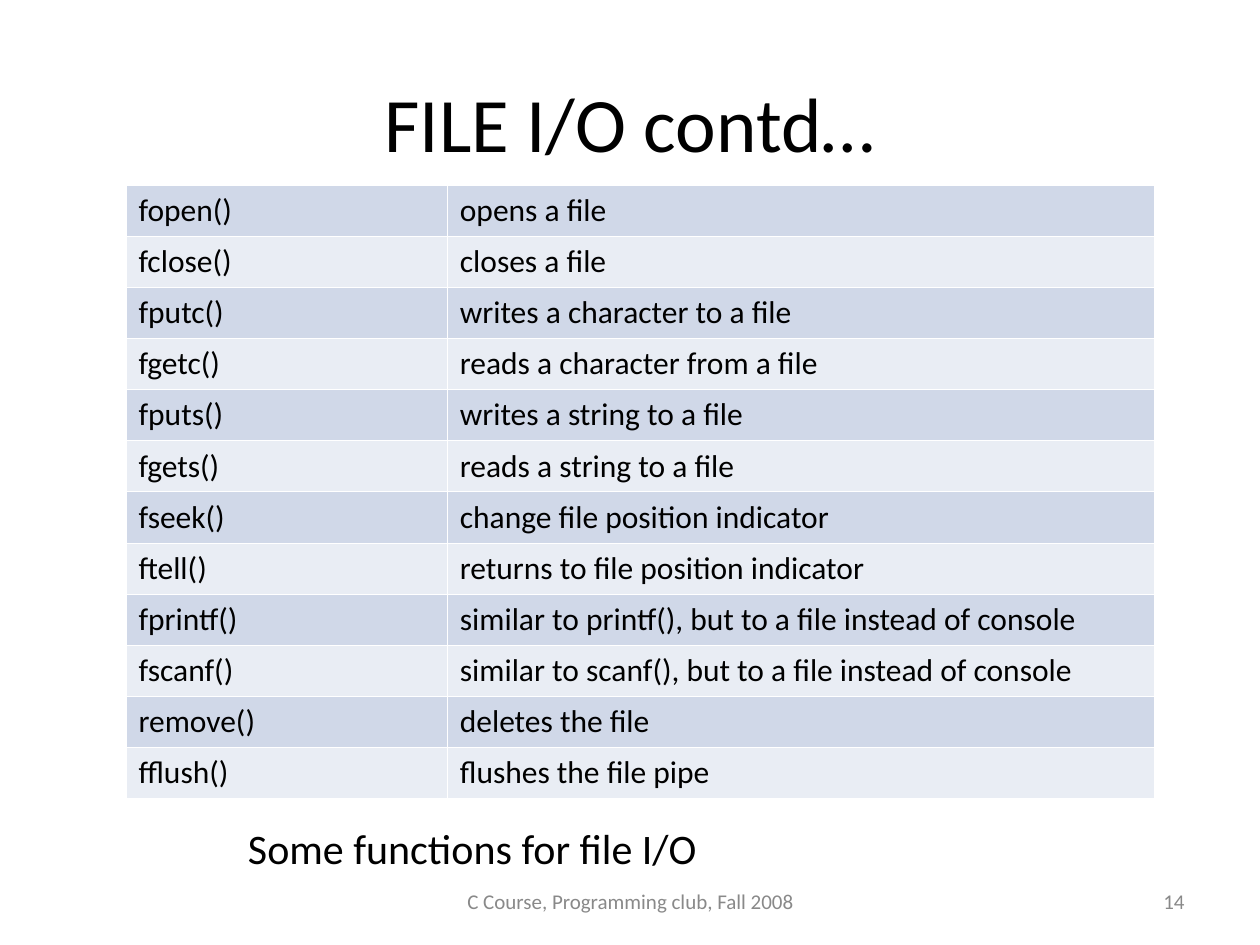
"""Build a slide listing the C functions for file input and output."""
from lxml import etree
from pptx import Presentation
from pptx.dml.color import RGBColor
from pptx.enum.text import MSO_ANCHOR, PP_ALIGN
from pptx.oxml.ns import qn
from pptx.util import Inches, Pt

LEFT, CENTER, RIGHT = PP_ALIGN.LEFT, PP_ALIGN.CENTER, PP_ALIGN.RIGHT
MIDDLE = MSO_ANCHOR.MIDDLE
BLACK = RGBColor(0x00, 0x00, 0x00)
GRAY = RGBColor(0x89, 0x89, 0x89)
WHITE = RGBColor(0xFF, 0xFF, 0xFF)
BANDS = (RGBColor(0xD0, 0xD8, 0xE8), RGBColor(0xE9, 0xED, 0xF4))
FONT = "Calibri"

FUNCTIONS = [
    ("fopen()", "opens a file"),
    ("fclose()", "closes a file"),
    ("fputc()", "writes a character to a file"),
    ("fgetc()", "reads a character from a file"),
    ("fputs()", "writes a string to a file"),
    ("fgets()", "reads a string to a file"),
    ("fseek()", "change file position indicator"),
    ("ftell()", "returns to file position indicator"),
    ("fprintf()", "similar to printf(), but to a file instead of console"),
    ("fscanf()", "similar to scanf(), but to a file instead of console"),
    ("remove()", "deletes the file"),
    ("fflush()", "flushes the file pipe"),
]
TEXTS = [
    ("FILE I/O contd…", 0.5, 0.34, 9, 1.25, 44, BLACK, CENTER),
    ("Some functions for file I/O", 1.87, 6.48, 6, 0.5, 24, BLACK, LEFT),
    ("14", 7.17, 6.95, 2.33, 0.4, 12, GRAY, RIGHT),
    ("C Course, Programming club, Fall 2008", 3.42, 6.95, 3.17, 0.4, 12, GRAY, CENTER),
]


def write(text_frame, text, size, color, alignment):
    paragraph = text_frame.paragraphs[0]
    paragraph.text = text
    paragraph.alignment = alignment
    paragraph.font.name = FONT
    paragraph.font.size = Pt(size)
    paragraph.font.color.rgb = color


def add_borders(cell):
    properties = cell._tc.get_or_add_tcPr()
    for index, side in enumerate(("a:lnL", "a:lnR", "a:lnT", "a:lnB")):
        line = etree.Element(qn(side), w=str(Pt(0.45)))
        fill = etree.SubElement(line, qn("a:solidFill"))
        etree.SubElement(fill, qn("a:srgbClr"), val=str(WHITE))
        properties.insert(index, line)


presentation = Presentation()
presentation.slide_width = Inches(10)
presentation.slide_height = Inches(7.5)
slide = presentation.slides.add_slide(presentation.slide_layouts[6])

for text, left, top, width, height, size, color, alignment in TEXTS:
    shape = slide.shapes.add_textbox(Inches(left), Inches(top), Inches(width), Inches(height))
    shape.text_frame.word_wrap = True
    shape.text_frame.vertical_anchor = MIDDLE
    write(shape.text_frame, text, size, color, alignment)

table = slide.shapes.add_table(
    len(FUNCTIONS), 2, Inches(1), Inches(1.47), Inches(8.16), Inches(4.87)
).table
table.first_row = False
table.horz_banding = False
table.columns[0].width = Inches(2.55)
table.columns[1].width = Inches(5.61)

for row, entry in enumerate(FUNCTIONS):
    for column, text in enumerate(entry):
        cell = table.cell(row, column)
        cell.fill.solid()
        cell.fill.fore_color.rgb = BANDS[row % 2]
        add_borders(cell)
        write(cell.text_frame, text, 18, BLACK, LEFT)

presentation.save("out.pptx")
